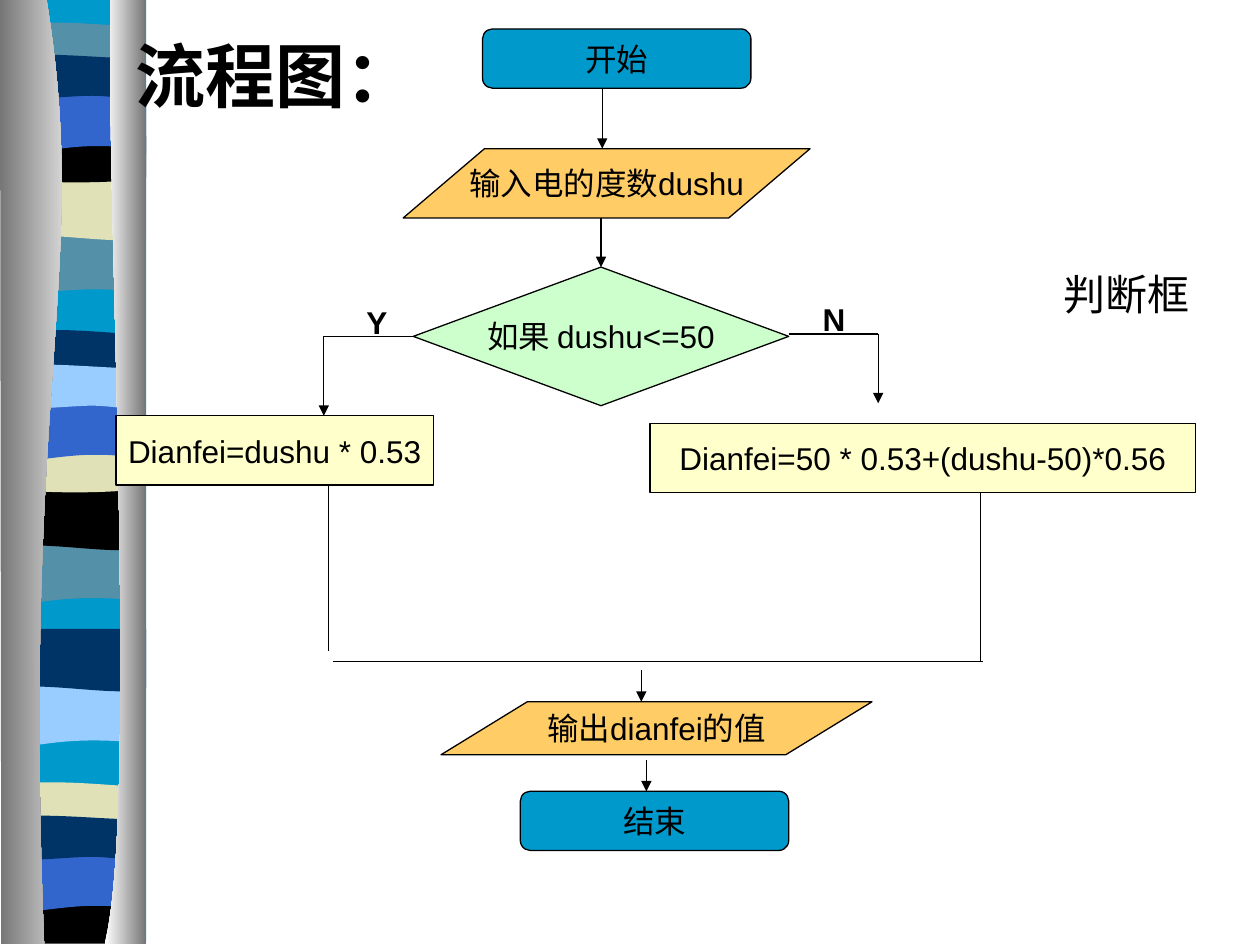
from lxml import etree
from pptx import Presentation
from pptx.dml.color import RGBColor
from pptx.enum.shapes import MSO_CONNECTOR, MSO_SHAPE as Preset
from pptx.enum.text import MSO_ANCHOR, MSO_AUTO_SIZE, PP_ALIGN
from pptx.oxml.ns import qn
from pptx.util import Inches, Pt

BLACK, GREY, WHITE = "000000", "767676", "FFFFFF"
BLUE, STEEL, SAND = "0099CC", "5490A8", "E1E1B7"
ROYAL, NAVY, SKY = "3366CC", "003366", "99CCFF"
ORANGE, GREEN, YELLOW = "FFCC66", "CCFFCC", "FFFFCC"

# Outlines relative to a band's left and top: pairs are lines, sixes are Bézier curves.
PLAIN = [(1.1, 0), (1.1, 7.47), (0, 7.47), (0, 0), (1.1, 0)]
SWOOP = [(1.1, 0), (1.1, 0, 1.1, 0.47, 1.1, 0.47), (0.34, 0.39, 0.19, 0.55, 0, 0.47), (0, 0), (1.1, 0)]
SAG = [(1.1, 0), (1.1, 0.47), (0.91, 0.55, 0.34, 0.42, 0, 0.47), (0, 0), (1.1, 0)]
BULGE = [(1.1, 0), (1.1, 0.24), (0.91, 0.28, 0.19, 0.28, 0, 0.24), (0, 0),
         (0.07, -0.05, 0.24, -0.04, 0.42, -0.04), (0.61, -0.04, 0.96, -0.01, 1.1, 0)]
BOWL = [(1.1, 0), (1.1, 0.33), (0.91, 0.38, 0.18, 0.38, 0, 0.33), (0, 0),
        (0.68, 0.05, 0.87, 0, 1.1, 0)]
ARCH = [(1.1, 0), (1.1, 0, 1.1, 0.47, 1.1, 0.47), (0.93, 0.41, 0.86, 0.41, 0.68, 0.41),
        (0.49, 0.41, 0.17, 0.47, 0, 0.47), (0, 0), (1.1, 0)]
CREST = [(1.1, 0), (1.1, 0.3), (1.03, 0.35, 0.86, 0.3, 0.68, 0.3),
         (0.49, 0.3, 0.12, 0.35, 0, 0.3), (0, 0),
         (0.16, -0.06, 0.75, 0, 0.93, 0), (1.11, 0, 1.06, 0, 1.1, 0)]
FOOT = [(1.1, 0), (1.1, 0.37), (0, 0.37), (0, 0), (0.67, 0.05, 0.87, 0, 1.1, 0)]
LEFT_EDGE = [(0.37, 0), (0.72, 2.17, 0.17, 2.96, 0.35, 7.49), (0.01, 7.49), (0, 0), (0.37, 0)]
RIGHT_EDGE = [(0.88, 0), (0.83, 1.25, 1.11, 6.47, 0.83, 7.49), (1.16, 7.49), (1.16, 0), (0.88, 0)]

BANDS = [
    (PLAIN, 0.06, 0, BLUE),
    (SWOOP, 0.05, 1.85, STEEL), (SAG, 0.06, 1.41, SAND), (BULGE, 0.05, 0.22, STEEL),
    (BOWL, 0.06, 1.08, BLACK), (ARCH, 0.06, 0.75, ROYAL), (CREST, 0.05, 0.46, NAVY),
    (SWOOP, 0.04, 4.3, STEEL), (SAG, 0.05, 3.87, BLACK), (BULGE, 0.04, 2.66, NAVY),
    (BOWL, 0.05, 3.54, SAND), (ARCH, 0.04, 3.2, ROYAL), (CREST, 0.05, 2.92, SKY),
    (SWOOP, 0.05, 5.43, SKY), (SAG, 0.06, 4.99, NAVY), (BULGE, 0.04, 6.25, SAND),
    (FOOT, 0.05, 7.12, BLACK), (ARCH, 0.04, 6.78, ROYAL), (CREST, 0.05, 6.5, NAVY),
]


def color(hex_code):
    return RGBColor.from_string(hex_code)


def bend_curves(shape, outline):
    """Merge each three line segments that stand for a Bézier curve into one."""
    lines = iter(list(shape._element.iter(qn("a:lnTo"))))
    for segment in outline[1:]:
        first = next(lines)
        if len(segment) == 6:
            first.tag_name = None
            curve = etree.Element(qn("a:cubicBezTo"))
            first.addprevious(curve)
            for line in (first, next(lines), next(lines)):
                curve.append(line[0])
                line.getparent().remove(line)


def add_outline(slide, outline, left, top, *fills):
    """Draw a borderless outline; two fills make a gradient from left to right."""
    points = [(Inches(left + x), Inches(top + y))
              for segment in outline for x, y in zip(segment[::2], segment[1::2])]
    builder = slide.shapes.build_freeform(*points[0])
    builder.add_line_segments(points[1:], close=False)
    shape = builder.convert_to_shape()
    bend_curves(shape, outline)
    for path in shape._element.iter(qn("a:path")):
        etree.SubElement(path, qn("a:close"))
    shape.shadow.inherit = False
    shape.line.fill.background()
    if len(fills) == 1:
        shape.fill.solid()
        shape.fill.fore_color.rgb = color(fills[0])
    else:
        shape.fill.gradient()
        shape.fill.gradient_angle = 0
        for stop, fill in zip(shape.fill.gradient_stops, fills):
            stop.color.rgb = color(fill)


def write(shape, text, size=18, font="Arial", bold=False, align=PP_ALIGN.LEFT,
          anchor=MSO_ANCHOR.TOP, wrap=False):
    frame = shape.text_frame
    frame.word_wrap = wrap
    frame.vertical_anchor = anchor
    paragraph = frame.paragraphs[0]
    paragraph.alignment = align
    run = paragraph.add_run()
    run.text = text
    run.font.size = Pt(size)
    run.font.name = font
    run.font.bold = bold
    run.font.color.rgb = color(BLACK)


def add_label(slide, text, left, top, width, height, **text_format):
    shape = slide.shapes.add_textbox(Inches(left), Inches(top), Inches(width), Inches(height))
    write(shape, text, **text_format)
    shape.text_frame.auto_size = MSO_AUTO_SIZE.SHAPE_TO_FIT_TEXT


def add_step(slide, preset, text, left, top, width, height, fill):
    shape = slide.shapes.add_shape(preset, Inches(left), Inches(top), Inches(width), Inches(height))
    shape.shadow.inherit = False
    shape.fill.solid()
    shape.fill.fore_color.rgb = color(fill)
    shape.line.color.rgb = color(BLACK)
    shape.line.width = Pt(0.75)
    write(shape, text, align=PP_ALIGN.CENTER, anchor=MSO_ANCHOR.MIDDLE)
    return shape


def add_line(slide, x1, y1, x2, y2, arrow=False):
    line = slide.shapes.add_connector(MSO_CONNECTOR.STRAIGHT, Inches(x1), Inches(y1), Inches(x2), Inches(y2))
    line.line.color.rgb = color(BLACK)
    line.line.width = Pt(0.75)
    if arrow:
        etree.SubElement(line.line._get_or_add_ln(), qn("a:tailEnd"), type="triangle")
    etree.SubElement(line._element.spPr, qn("a:effectLst"))
    return line


def add_ribbon(slide):
    for outline, left, top, fill in BANDS:
        add_outline(slide, outline, left, top, fill)
    add_outline(slide, LEFT_EDGE, 0, 0, GREY, WHITE)
    add_outline(slide, RIGHT_EDGE, 0, 0, WHITE, GREY)


def add_flowchart(slide):
    terminal, data = Preset.FLOWCHART_ALTERNATE_PROCESS, Preset.FLOWCHART_DATA
    add_step(slide, terminal, "开始", 3.83, 0.23, 2.13, 0.47, BLUE)
    add_step(slide, data, "输入电的度数dushu", 3.2, 1.18, 3.23, 0.55, ORANGE)
    decision = add_step(slide, Preset.FLOWCHART_DECISION, "如果 dushu<=50", 3.28, 2.12, 2.98, 1.1, GREEN)
    add_step(slide, Preset.RECTANGLE, "Dianfei=dushu * 0.53", 0.92, 3.3, 2.52, 0.55, YELLOW)
    add_step(slide, Preset.RECTANGLE, "Dianfei=50 * 0.53+(dushu-50)*0.56", 5.16, 3.36, 4.33, 0.55, YELLOW)
    add_step(slide, data, "输出dianfei的值", 3.5, 5.57, 3.42, 0.42, ORANGE)
    add_step(slide, terminal, "结束", 4.13, 6.28, 2.13, 0.47, BLUE)

    add_line(slide, 4.78, 0.7, 4.78, 1.18, arrow=True)
    add_line(slide, 4.77, 1.73, 4.77, 2.12, arrow=True).end_connect(decision, 0)
    add_line(slide, 3.28, 2.67, 2.57, 2.67).begin_connect(decision, 1)
    add_line(slide, 2.57, 2.67, 2.57, 3.3, arrow=True)
    add_line(slide, 6.26, 2.65, 6.97, 2.65)
    add_line(slide, 6.97, 2.65, 6.97, 3.2, arrow=True)
    add_line(slide, 2.61, 3.85, 2.61, 5.17)
    add_line(slide, 7.78, 3.91, 7.78, 5.25)
    add_line(slide, 7.8, 5.25, 2.64, 5.25)
    add_line(slide, 5.09, 5.32, 5.09, 5.57, arrow=True)
    add_line(slide, 5.13, 6.03, 5.13, 6.28, arrow=True)

    add_label(slide, "Y", 2.81, 2.36, 0.36, 0.4, bold=True)
    add_label(slide, "N", 6.43, 2.33, 0.38, 0.4, bold=True)


def main():
    presentation = Presentation()
    presentation.slide_width, presentation.slide_height = Inches(10), Inches(7.5)
    slide = presentation.slides.add_slide(presentation.slide_layouts[6])
    add_ribbon(slide)
    add_flowchart(slide)
    add_label(slide, "流程图：", 0.98, 0.21, 2.68, 0.77, size=40, bold=True, wrap=True)
    add_label(slide, "判断框", 8.34, 2.08, 1.2, 0.5, size=24, font="Times New Roman")
    presentation.save("out.pptx")


if __name__ == "__main__":
    main()
